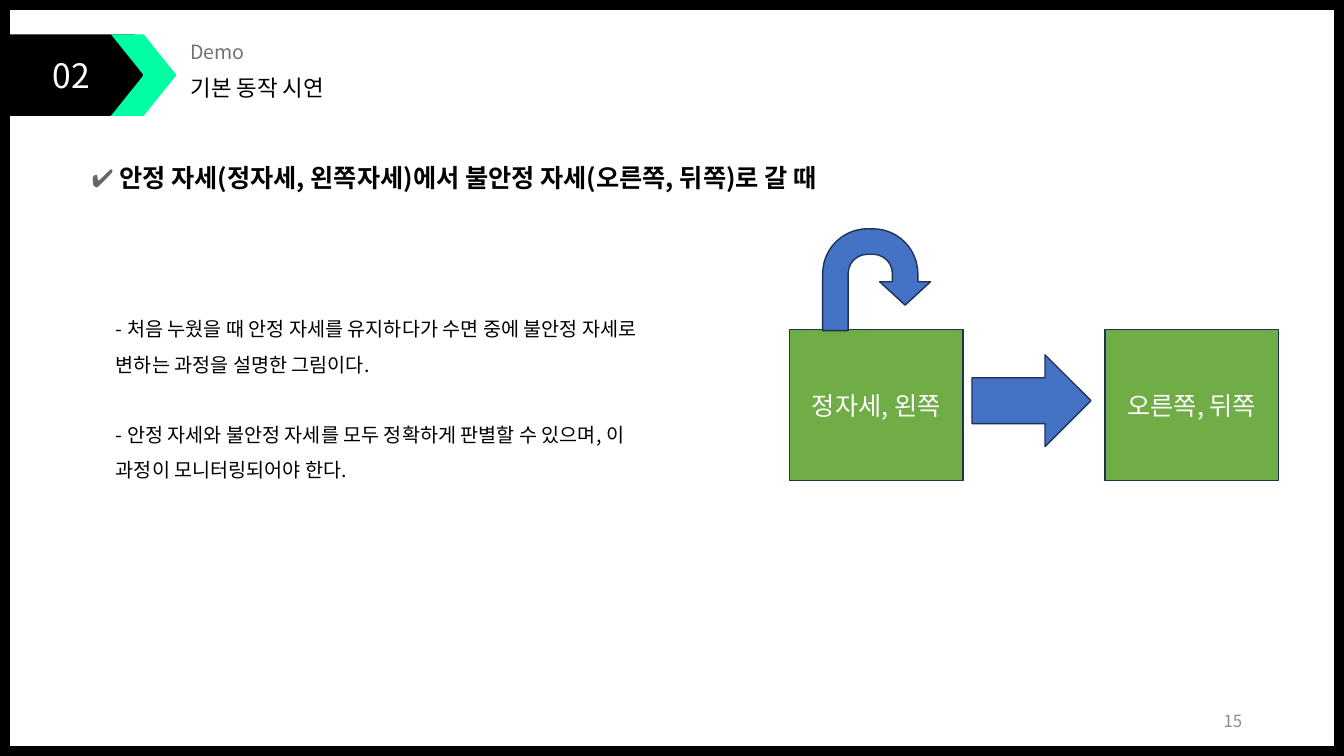
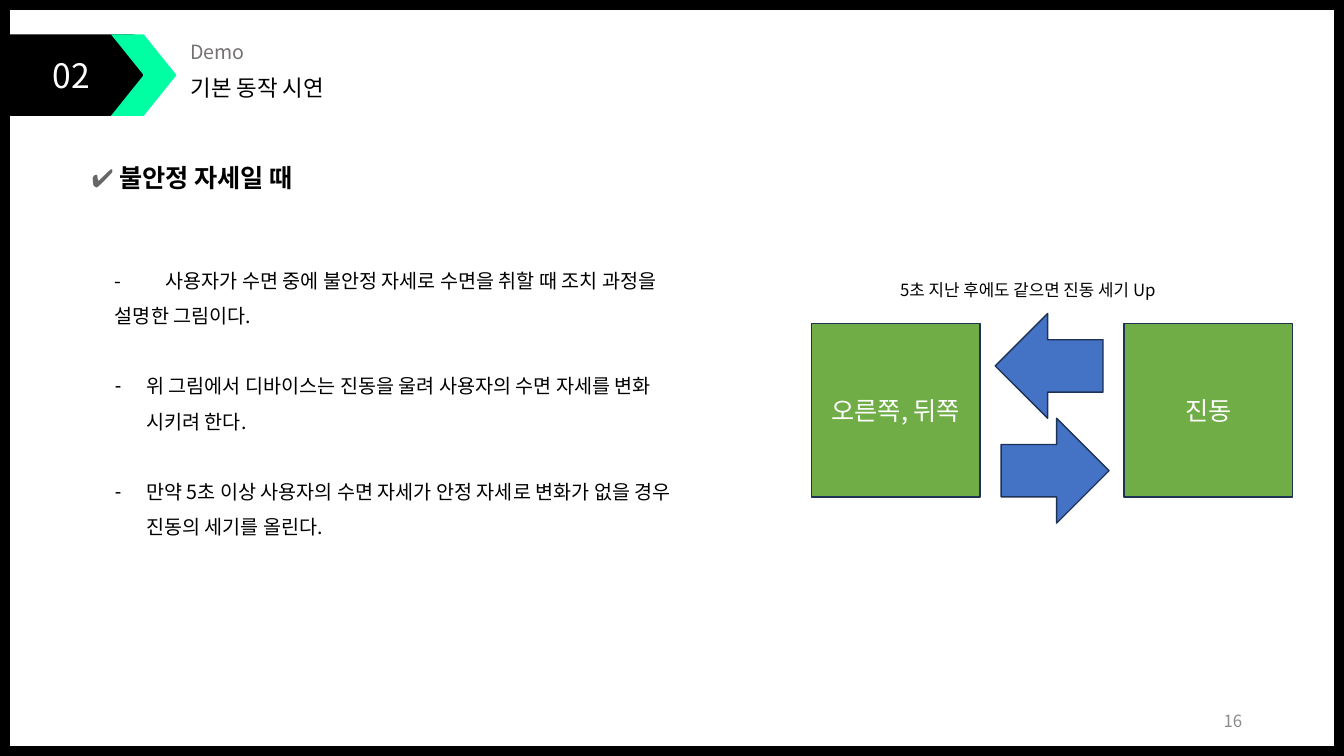
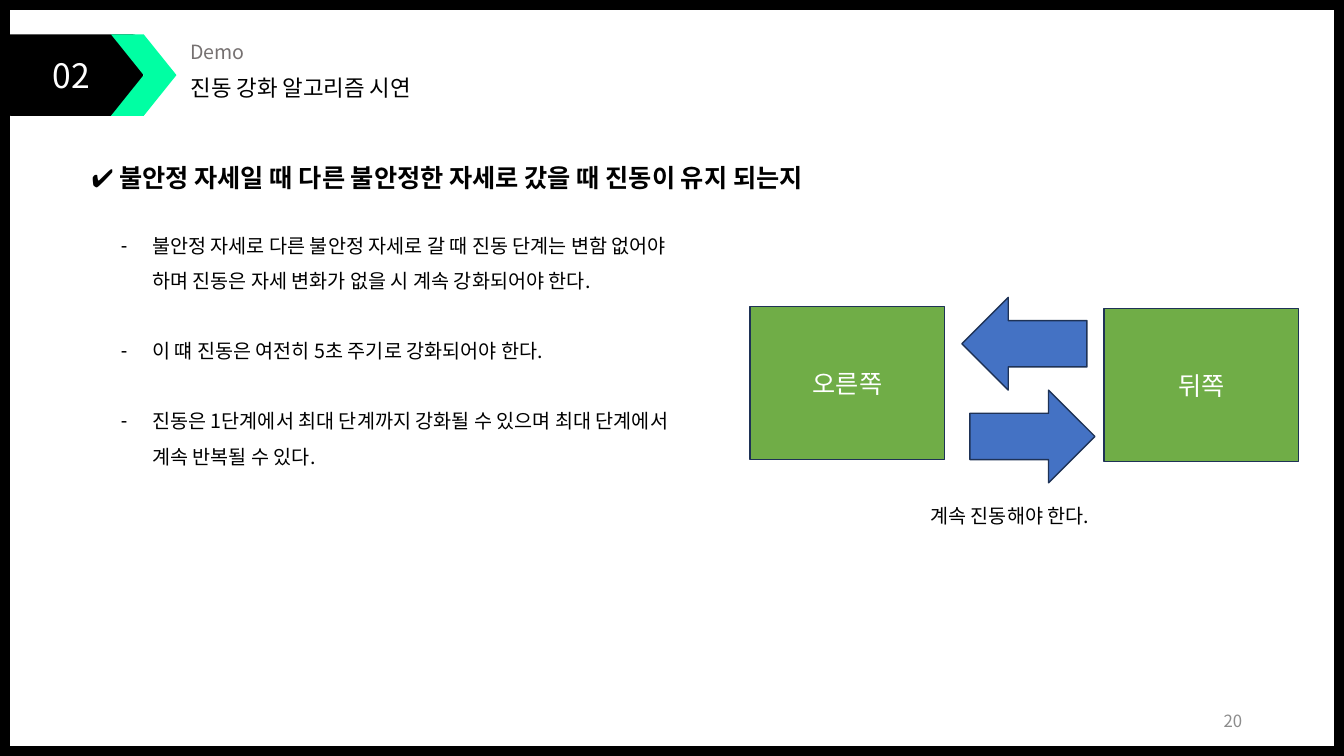
from dataclasses import dataclass

from lxml.etree import SubElement
from pptx import Presentation
from pptx.dml.color import RGBColor
from pptx.enum.shapes import MSO_SHAPE
from pptx.enum.text import MSO_ANCHOR, MSO_AUTO_SIZE, PP_ALIGN
from pptx.oxml.ns import qn
from pptx.util import Inches, Pt


@dataclass(frozen=True)
class Theme:
    font: str = "Noto Sans CJK KR"
    mark: str = "Calibri"
    black: str = "000000"
    white: str = "FFFFFF"
    gray: str = "767171"
    check: str = "666666"
    page: str = "8C8C8C"
    mint: str = "00FFA3"
    green: str = "70AD47"
    blue: str = "4472C4"
    edge: str = "1E3256"
    small: int = 12
    body: int = 14
    title: int = 16
    head: int = 18
    badge: int = 24
    gap: int = 25


T = Theme()
INDENT = 0.31
PLAIN, TABBED, DASH = "plain", "tabbed", "dash"

# Lengths are inches; boxes and arrows on a slide share one size.
SLIDES = [
    {
        "title": "기본 동작 시연", "page": "15", "check": T.check,
        "head": "안정 자세(정자세, 왼쪽자세)에서 불안정 자세(오른쪽, 뒤쪽)로 갈 때",
        "area": (1.05, 2.98, 5.62, 2.18),
        "items": [
            (PLAIN, "- 처음 누웠을 때 안정 자세를 유지하다가 수면 중에 불안정 자세로 변하는 과정을 설명한 그림이다."),
            (PLAIN, "- 안정 자세와 불안정 자세를 모두 정확하게 판별할 수 있으며, 이 과정이 모니터링되어야 한다."),
        ],
        "size": (1.72, 1.5),
        "boxes": [(7.83, 3.27, "정자세, 왼쪽"), (10.96, 3.27, "오른쪽, 뒤쪽")],
        "span": (1.18, 0.91),
        "arrows": [(9.64, 3.52, 0)],
        "loop": (8.16, 2.27, 1.07, 1.01),
    },
    {
        "title": "기본 동작 시연", "page": "16", "check": T.check,
        "head": "불안정 자세일 때",
        "area": (1.04, 2.5, 5.96, 2.88),
        "items": [
            (TABBED, "-\t사용자가 수면 중에 불안정 자세로 수면을 취할 때 조치 과정을 설명한 그림이다."),
            (DASH, "위 그림에서 디바이스는 진동을 울려 사용자의 수면 자세를 변화 시키려 한다."),
            (DASH, "만약 5초 이상 사용자의 수면 자세가 안정 자세로 변화가 없을 경우 진동의 세기를 올린다."),
        ],
        "size": (1.67, 1.72),
        "boxes": [(8.05, 3.21, "오른쪽, 뒤쪽"), (11.15, 3.21, "진동")],
        "span": (1.07, 1.04),
        "arrows": [(9.93, 4.15, 0), (9.87, 3.11, 180)],
        "note": ((8.83, 2.73, 3.34, 0.3), "5초 지난 후에도 같으면 진동 세기 Up", T.small),
    },
    {
        "title": "진동 강화 알고리즘 시연", "page": "20", "check": T.black,
        "head": "불안정 자세일 때 다른 불안정한 자세로 갔을 때 진동이 유지 되는지",
        "area": (1.1, 2.15, 5.89, 2.53),
        "items": [
            (DASH, "불안정 자세로 다른 불안정 자세로 갈 때 진동 단계는 변함 없어야 하며 진동은 자세 변화가 없을 시 계속 강화되어야 한다."),
            (DASH, "이 떄 진동은 여전히 5초 주기로 강화되어야 한다."),
            (DASH, "진동은 1단계에서 최대 단계까지 강화될 수 있으며 최대 단계에서 계속 반복될 수 있다."),
        ],
        "size": (1.93, 1.52),
        "boxes": [(7.44, 3.04, "오른쪽"), (10.95, 3.06, "뒤쪽")],
        "span": (1.24, 0.92),
        "arrows": [(9.62, 3.87, 0), (9.54, 2.95, 180)],
        "note": ((9.13, 4.95, 3, 0.34), "계속 진동해야 한다.", T.body),
    },
]


def rgb(color):
    return RGBColor.from_string(color)


def place(shape, area):
    shape.left, shape.top, shape.width, shape.height = map(Inches, area)


def add_run(para, text, size, color=T.black, bold=False, font=T.font):
    run = para.add_run()
    run.text = text
    run.font.name = font
    run.font.size = Pt(size)
    run.font.bold = bold
    run.font.color.rgb = rgb(color)
    SubElement(run.font._element, qn("a:ea"), typeface=T.font)


def set_frame(shape, anchor=MSO_ANCHOR.TOP, wrap=True):
    frame = shape.text_frame
    frame.auto_size = MSO_AUTO_SIZE.NONE
    frame.word_wrap = wrap
    frame.vertical_anchor = anchor
    return frame


def add_text(slide, area, text, size, color=T.black,
             align=PP_ALIGN.LEFT, anchor=MSO_ANCHOR.TOP):
    box = slide.shapes.add_textbox(*map(Inches, area))
    para = set_frame(box, anchor).paragraphs[0]
    para.alignment = align
    add_run(para, text, size, color)


def add_form(slide, kind, area, fill, edge=None, adjust=(), text="", size=T.head):
    form = slide.shapes.add_shape(kind, *map(Inches, area))
    form.shadow.inherit = False
    form.fill.solid()
    form.fill.fore_color.rgb = rgb(fill)
    if edge:
        form.line.color.rgb = rgb(edge)
        form.line.width = Pt(1)
    else:
        form.line.fill.background()
    for i, value in enumerate(adjust):
        form.adjustments[i] = value
    if text:
        para = set_frame(form, MSO_ANCHOR.MIDDLE).paragraphs[0]
        para.alignment = PP_ALIGN.CENTER
        add_run(para, text, size, T.white)
    return form


def add_header(slide, data):
    add_form(slide, MSO_SHAPE.FRAME, (0, 0, 13.33, 7.5), T.black, adjust=[0.013])
    add_text(slide, (1.79, 0.35, 1.11, 0.34), "Demo", T.body, T.gray)
    title = slide.shapes.title
    place(title, (1.79, 0.69, 3.4, 0.37))
    para = set_frame(title).paragraphs[0]
    para.alignment = PP_ALIGN.LEFT
    add_run(para, data["title"], T.title)
    add_text(slide, (9.42, 6.95, 3, 0.4), data["page"], T.small, T.page,
             PP_ALIGN.RIGHT, MSO_ANCHOR.MIDDLE)
    add_form(slide, MSO_SHAPE.ROUNDED_RECTANGLE, (0, 0.34, 1.42, 0.81), T.black,
             adjust=[0.143], text="02", size=T.badge)
    add_form(slide, MSO_SHAPE.CHEVRON, (1.1, 0.34, 0.65, 0.81), T.mint)


def add_head(slide, data):
    box = slide.shapes.add_textbox(*map(Inches, (0.81, 1.56, 8.19, 0.4)))
    para = set_frame(box, wrap=False).paragraphs[0]
    add_run(para, "✔ ", T.head, data["check"], data["check"] == T.black, T.mark)
    add_run(para, data["head"], T.head, bold=True)


def set_bullet(para, style):
    props = para._p.get_or_add_pPr()
    indent = Inches(INDENT) if style == DASH else 0
    props.set("marL", str(indent))
    props.set("indent", str(-indent))
    if style == DASH:
        SubElement(props, qn("a:buChar"), char="-")
    else:
        SubElement(props, qn("a:buNone"))
    if style == TABBED:
        tabs = SubElement(props, qn("a:tabLst"))
        SubElement(tabs, qn("a:tab"), pos=str(Inches(0.3)), algn="l")


def fill_list(slide, data):
    body = slide.placeholders[1]
    place(body, data["area"])
    frame = set_frame(body)
    for i, (style, text) in enumerate(data["items"]):
        para = frame.add_paragraph() if i else frame.paragraphs[0]
        para.line_spacing = 1.5
        para.space_before = Pt(T.gap if i else 0)
        set_bullet(para, style)
        add_run(para, text, T.body)


def add_flow(slide, data):
    for x, y, text in data["boxes"]:
        add_form(slide, MSO_SHAPE.RECTANGLE, (x, y, *data["size"]),
                 T.green, T.edge, text=text)
    for x, y, turn in data["arrows"]:
        arrow = add_form(slide, MSO_SHAPE.RIGHT_ARROW, (x, y, *data["span"]),
                         T.blue, T.edge)
        arrow.rotation = turn
    if "loop" in data:
        add_form(slide, MSO_SHAPE.U_TURN_ARROW, data["loop"], T.blue, T.edge,
                 adjust=[0.25, 0.25, 0.23, 0.44, 0.75])
    if "note" in data:
        add_text(slide, *data["note"])


def main():
    deck = Presentation()
    deck.slide_width, deck.slide_height = Inches(13.33), Inches(7.5)
    for data in SLIDES:
        slide = deck.slides.add_slide(deck.slide_layouts[1])
        add_header(slide, data)
        add_head(slide, data)
        fill_list(slide, data)
        add_flow(slide, data)
    deck.save("out.pptx")


if __name__ == "__main__":
    main()
